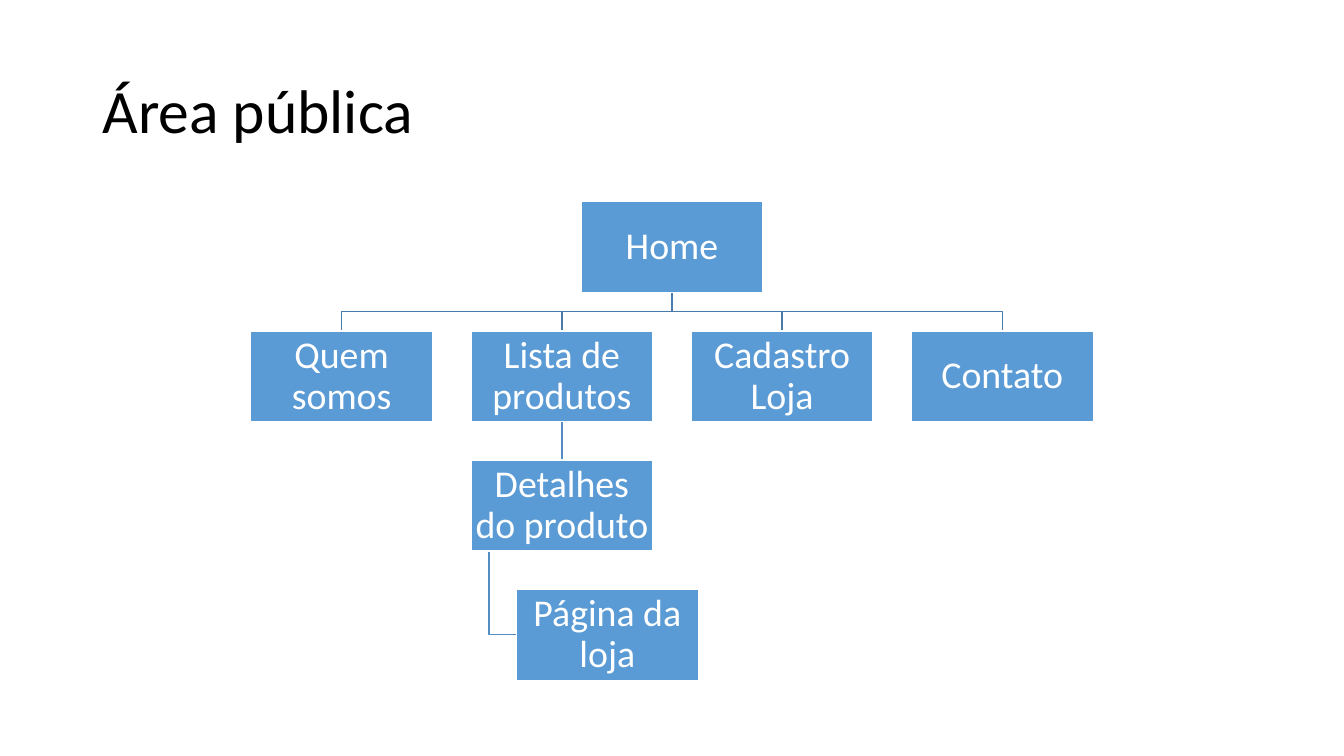
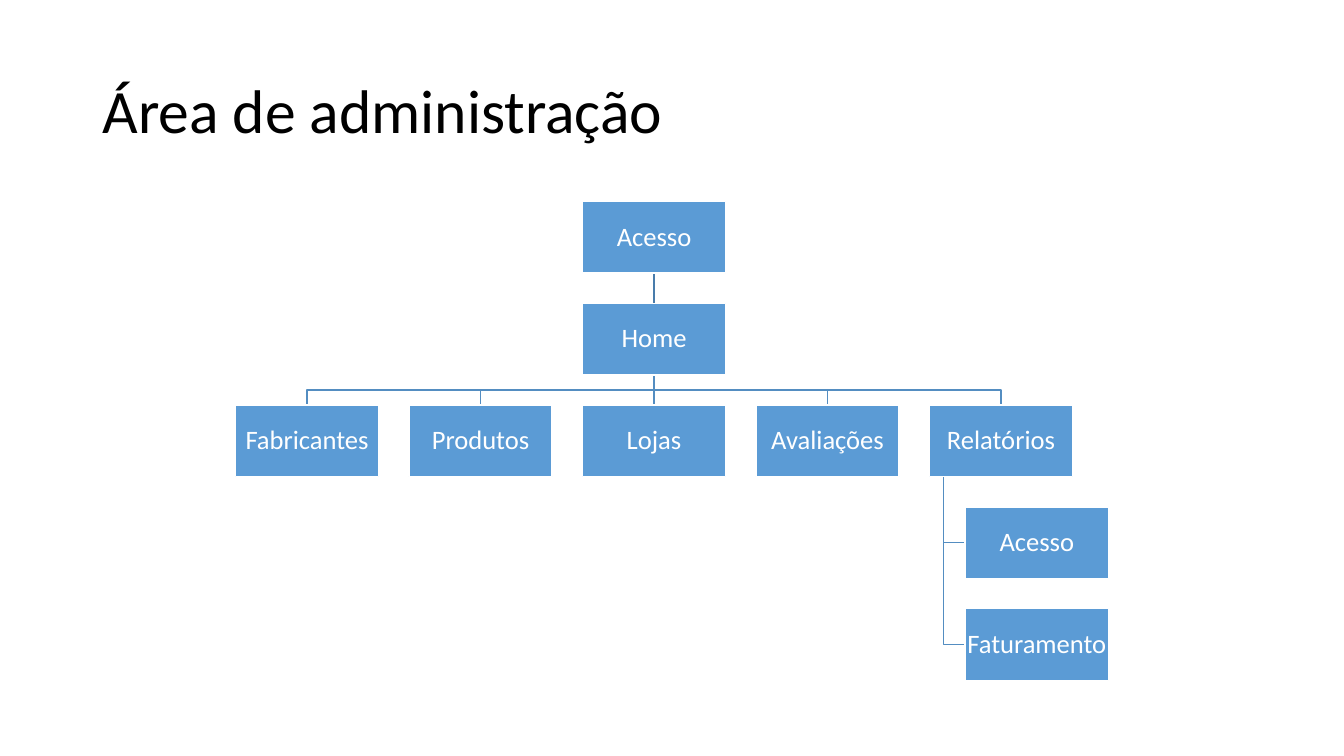
from collections import namedtuple

from lxml.etree import SubElement
from pptx import Presentation
from pptx.dml.color import RGBColor
from pptx.enum.shapes import MSO_CONNECTOR, MSO_SHAPE
from pptx.enum.text import MSO_ANCHOR, PP_ALIGN
from pptx.oxml.ns import qn
from pptx.util import Pt

# Each page: text, column, level, index of its parent, whether it hangs beside the parent
Page = namedtuple("Page", "text column level parent hanging", defaults=(None, False))

SITE_MAPS = [
    {
        "title": "Área pública",
        "box_width": 130,
        "font_size": 27,
        "pages": [
            Page("Home", 1.5, 0),
            Page("Quem somos", 0, 1, 0),
            Page("Lista de produtos", 1, 1, 0),
            Page("Cadastro Loja", 2, 1, 0),
            Page("Contato", 3, 1, 0),
            Page("Detalhes do produto", 1, 2, 2),
            Page("Página da loja", 1, 3, 5, True),
        ],
    },
    {
        "title": "Área de administração",
        "box_width": 102.4,
        "font_size": 19,
        "pages": [
            Page("Acesso", 2, 0),
            Page("Home", 2, 1, 0),
            Page("Fabricantes", 0, 2, 1),
            Page("Produtos", 1, 2, 1),
            Page("Lojas", 2, 2, 1),
            Page("Avaliações", 3, 2, 1),
            Page("Relatórios", 4, 2, 1),
            Page("Acesso", 4, 3, 6, True),
            Page("Faturamento", 4, 4, 6, True),
        ],
    },
]

FONT = "Calibri"
BLACK = RGBColor(0x00, 0x00, 0x00)
WHITE = RGBColor(0xFF, 0xFF, 0xFF)
BOX_BLUE = RGBColor(0x5B, 0x9B, 0xD5)
ROOT_LINK = RGBColor(0x49, 0x7C, 0xAB)
LOWER_LINK = RGBColor(0x53, 0x8D, 0xC1)

SLIDE_WIDTH, SLIDE_HEIGHT = 960, 540
MAP_TOP = 144
# Proportions of the box width
HEIGHT_RATIO, GAP_RATIO, INDENT_RATIO, STEM_RATIO = 0.5, 0.21, 0.25, 0.1


def style_paragraph(paragraph, size, color, alignment):
    """Apply the shared font and line spacing to a paragraph."""
    paragraph.alignment = alignment
    paragraph.line_spacing = 0.9
    paragraph.font.name = FONT
    paragraph.font.size = Pt(size)
    paragraph.font.color.rgb = color


def add_title(slide, text):
    """Place and format the title placeholder."""
    title = slide.shapes.title
    title.left, title.top = Pt(66), Pt(28.8)
    title.width, title.height = Pt(828), Pt(104.4)
    title.text_frame.text = text
    title.text_frame.vertical_anchor = MSO_ANCHOR.MIDDLE
    style_paragraph(title.text_frame.paragraphs[0], 44, BLACK, PP_ALIGN.LEFT)


def place_pages(pages, width):
    """Return the left and top of every box, centred on the slide."""
    lefts = [
        page.column * width * (1 + GAP_RATIO) + page.hanging * width * INDENT_RATIO
        for page in pages
    ]
    margin = (SLIDE_WIDTH - max(lefts) - width) / 2
    pitch = width * (HEIGHT_RATIO + GAP_RATIO)
    return [
        (margin + left, MAP_TOP + page.level * pitch)
        for left, page in zip(lefts, pages)
    ]


def link_points(page, parent_place, child_place, width):
    """Return the corners of the link from a parent box to its child."""
    parent_left, parent_top = parent_place
    child_left, child_top = child_place
    height = width * HEIGHT_RATIO
    bottom = parent_top + height
    if page.hanging:
        stem = parent_left + width * STEM_RATIO
        middle = child_top + height / 2
        return [(stem, bottom), (stem, middle), (child_left, middle)]
    start, end = parent_left + width / 2, child_left + width / 2
    if abs(start - end) < 0.01:
        return [(start, bottom), (end, child_top)]
    bend = (bottom + child_top) / 2
    return [(start, bottom), (start, bend), (end, bend), (end, child_top)]


def add_link(slide, points, color):
    """Draw a straight link as a connector and a bent one as an open outline."""
    corners = [(Pt(x), Pt(y)) for x, y in points]
    if len(corners) == 2:
        link = slide.shapes.add_connector(
            MSO_CONNECTOR.STRAIGHT, *corners[0], *corners[1]
        )
        SubElement(link.line._get_or_add_ln().getparent(), qn("a:effectLst"))
    else:
        builder = slide.shapes.build_freeform(*corners[0])
        builder.add_line_segments(corners[1:], close=False)
        link = builder.convert_to_shape()
        link.fill.background()
        link.shadow.inherit = False
    link.line.color.rgb = color
    link.line.width = Pt(1)


def add_box(slide, text, place, width, font_size):
    """Draw one page as a labelled box."""
    left, top = place
    box = slide.shapes.add_shape(
        MSO_SHAPE.RECTANGLE, Pt(left), Pt(top), Pt(width), Pt(width * HEIGHT_RATIO)
    )
    box.shadow.inherit = False
    box.fill.solid()
    box.fill.fore_color.rgb = BOX_BLUE
    box.line.color.rgb = WHITE
    box.line.width = Pt(1)
    frame = box.text_frame
    frame.word_wrap = True
    frame.vertical_anchor = MSO_ANCHOR.MIDDLE
    inset = Pt(font_size * 0.05)
    frame.margin_left = frame.margin_right = inset
    frame.margin_top = frame.margin_bottom = inset
    frame.text = text
    style_paragraph(frame.paragraphs[0], font_size, WHITE, PP_ALIGN.CENTER)


def add_site_map(presentation, title, box_width, font_size, pages):
    """Build one slide with its title, links and boxes."""
    slide = presentation.slides.add_slide(presentation.slide_layouts[5])
    add_title(slide, title)
    places = place_pages(pages, box_width)
    for page, place in zip(pages, places):
        if page.parent is not None:
            points = link_points(page, places[page.parent], place, box_width)
            add_link(slide, points, ROOT_LINK if page.parent == 0 else LOWER_LINK)
    for page, place in zip(pages, places):
        add_box(slide, page.text, place, box_width, font_size)


presentation = Presentation()
presentation.slide_width = Pt(SLIDE_WIDTH)
presentation.slide_height = Pt(SLIDE_HEIGHT)
for site_map in SITE_MAPS:
    add_site_map(presentation, **site_map)
presentation.save("out.pptx")
